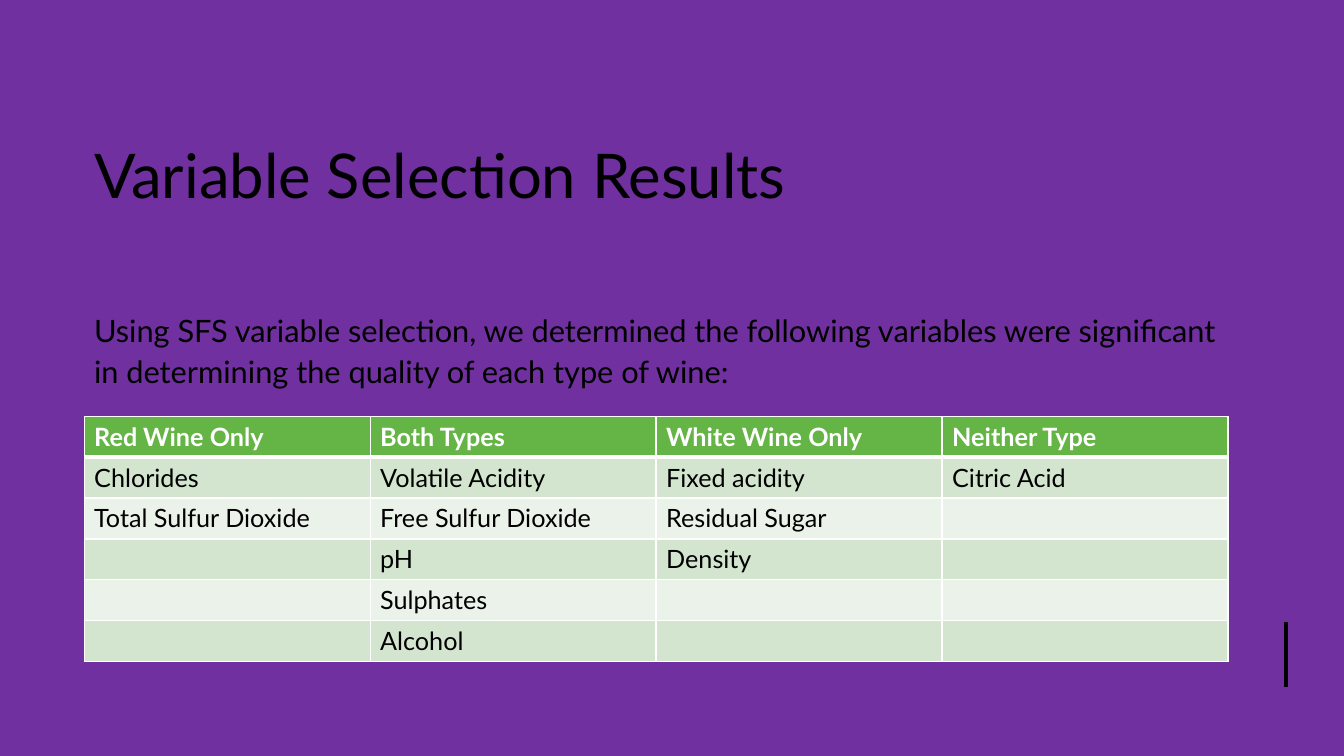
import pptx
import pptx.util
import pptx.dml.color
import pptx.enum.shapes
import pptx.enum.text
import pptx.oxml.ns
import lxml.etree

Cm, Pt = pptx.util.Cm, pptx.util.Pt
RGB = pptx.dml.color.RGBColor.from_string
ANCHOR = pptx.enum.text.MSO_ANCHOR
qn = pptx.oxml.ns.qn

COLORS = {"purple": "7030A0", "black": "000000", "white": "FFFFFF",
          "header": "65B446", "odd": "D3E5CF", "even": "EAF2E9"}
LEFT, WIDTH = Cm(2.12), Cm(28.83)


def write(tf, text, size=18, color="black", bold=False, anchor=ANCHOR.TOP,
          spacing=None, before=None):
    tf.word_wrap = True
    tf.vertical_anchor = anchor
    p = tf.paragraphs[0]
    p.line_spacing = spacing
    p.space_before = before
    r = p.add_run()
    r.text = text
    r.font.name = "Lato"
    r.font.size = Pt(size)
    r.font.bold = bold
    r.font.color.rgb = RGB(COLORS[color])


def set_borders(cell, widths):
    tcPr = cell._tc.get_or_add_tcPr()
    for i, (side, width) in enumerate(widths.items()):
        ln = lxml.etree.Element(qn("a:" + side), w=str(Pt(width)))
        fill = lxml.etree.SubElement(ln, qn("a:solidFill"))
        lxml.etree.SubElement(fill, qn("a:srgbClr"), val=COLORS["white"])
        tcPr.insert(i, ln)


prs = pptx.Presentation()
prs.slide_width, prs.slide_height = Cm(33.87), Cm(19.05)
s = prs.slides.add_slide(prs.slide_layouts[6])

# Background and title band
s.background.fill.solid()
s.background.fill.fore_color.rgb = RGB(COLORS["purple"])
band = s.shapes.add_shape(pptx.enum.shapes.MSO_SHAPE.RECTANGLE,
                          0, 0, prs.slide_width, Cm(7.06))
band.shadow.inherit = False
band.fill.solid()
band.fill.fore_color.rgb = RGB(COLORS["purple"])
band.line.fill.background()

# Accent line at lower right
accent = s.shapes.add_connector(pptx.enum.shapes.MSO_CONNECTOR.STRAIGHT,
                                Cm(32.41), Cm(15.67), Cm(32.41), Cm(17.32))
accent.line.color.rgb = RGB(COLORS["black"])
accent.line.width = Pt(3)
lxml.etree.SubElement(accent._element.spPr, qn("a:effectLst"))

# Title and introduction
title = s.shapes.add_textbox(LEFT, Cm(2.39), WIDTH, Cm(3.99))
write(title.text_frame, "Variable Selection Results", size=44, anchor=ANCHOR.MIDDLE)
intro = s.shapes.add_textbox(LEFT, Cm(7.65), WIDTH, Cm(9.07))
write(intro.text_frame,
      "Using SFS variable selection, we determined the following variables "
      "were significant in determining the quality of each type of wine:",
      size=22, spacing=1.1, before=Pt(10))

# Table of variables by wine type
rows = [
    ["Red Wine Only", "Both Types", "White Wine Only", "Neither Type"],
    ["Chlorides", "Volatile Acidity", "Fixed acidity", "Citric Acid"],
    ["Total Sulfur Dioxide", "Free Sulfur Dioxide", "Residual Sugar", ""],
    ["", "pH", "Density", ""],
    ["", "Sulphates", "", ""],
    ["", "Alcohol", "", ""],
]
table = s.shapes.add_table(len(rows), len(rows[0]), LEFT, Cm(10.49),
                           WIDTH, Cm(6.18)).table
for i, row in enumerate(rows):
    header = i == 0
    fill = "header" if header else "odd" if i % 2 else "even"
    for j, text in enumerate(row):
        cell = table.cell(i, j)
        cell.fill.solid()
        cell.fill.fore_color.rgb = RGB(COLORS[fill])
        set_borders(cell, {"lnL": 1, "lnR": 1, "lnT": 3 if i == 1 else 1,
                           "lnB": 3 if header else 1})
        if text:
            write(cell.text_frame, text, bold=header,
                  color="white" if header else "black")

prs.save("out.pptx")
